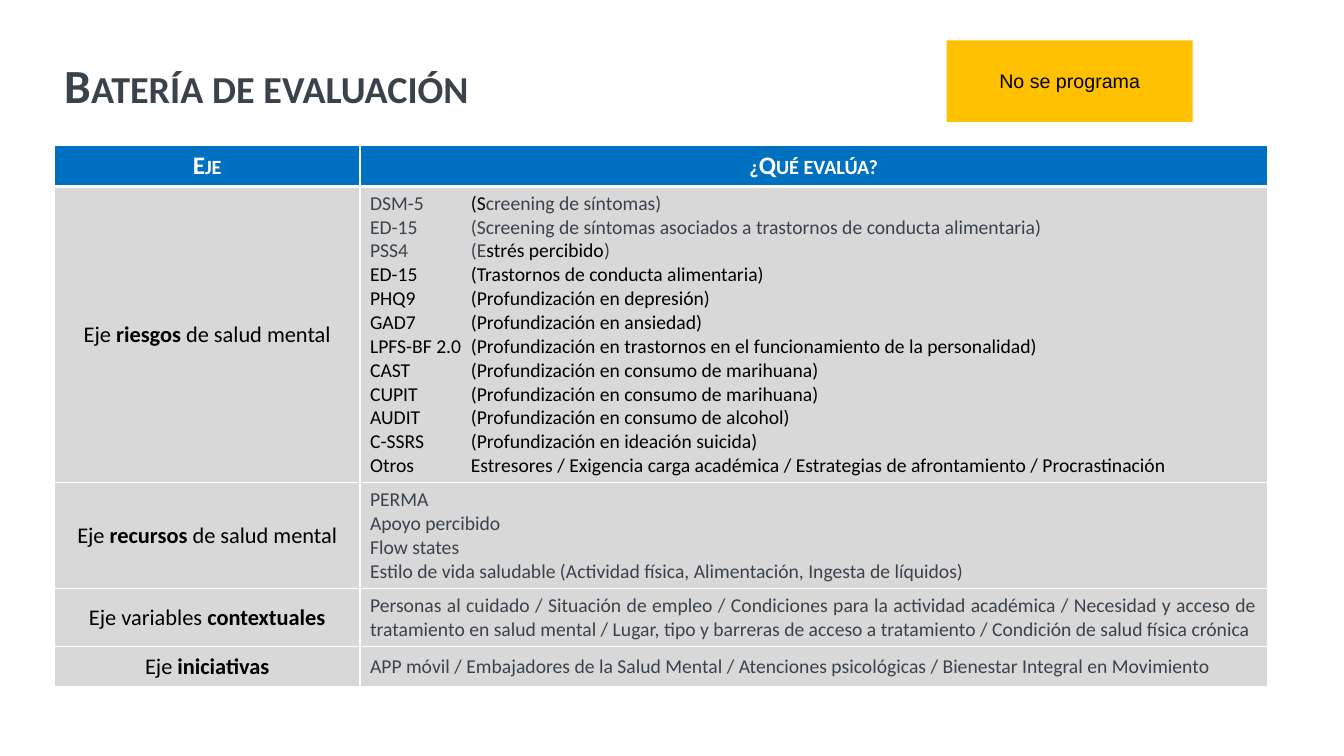
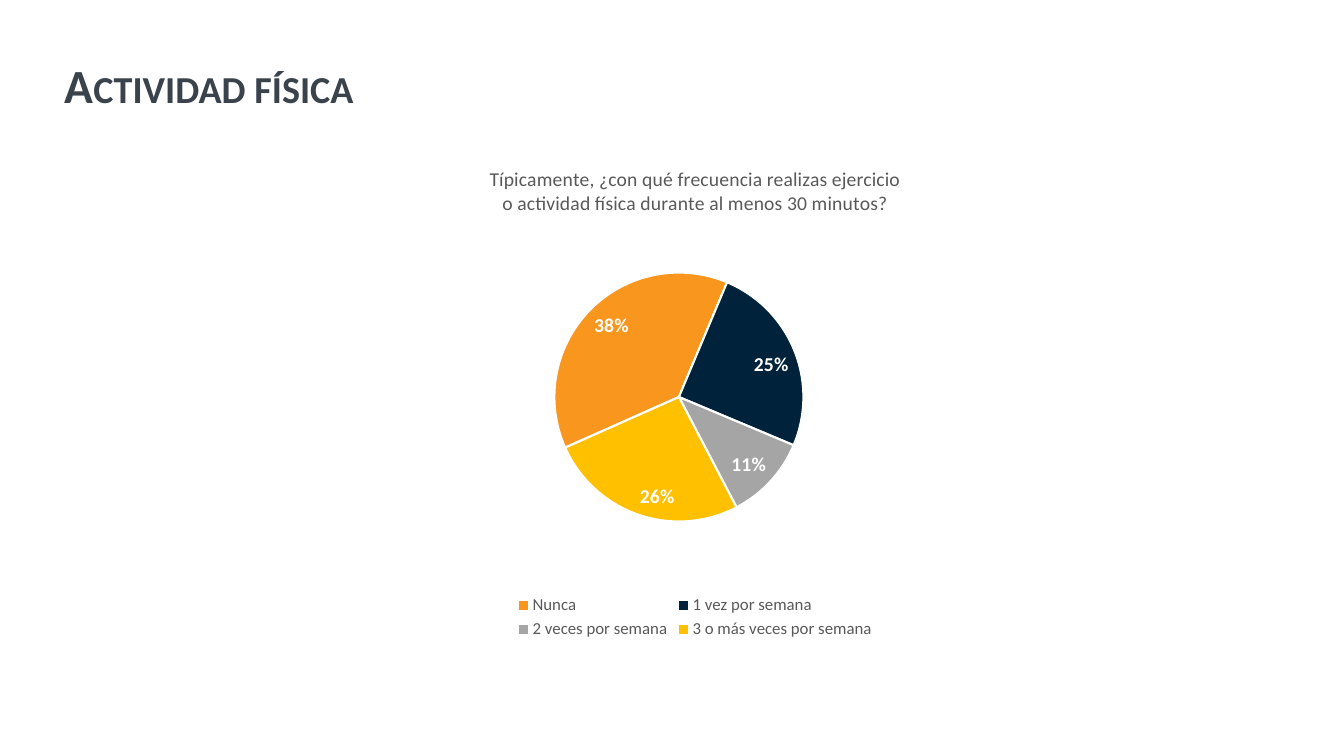
import pptx
import pptx.chart.data
import pptx.dml.color
import pptx.enum.chart
import pptx.enum.shapes
import pptx.enum.text
import pptx.oxml
import pptx.oxml.ns
import pptx.util

Inches = pptx.util.Inches
Pt = pptx.util.Pt
ALIGN = pptx.enum.text.PP_ALIGN
ANCHOR = pptx.enum.text.MSO_ANCHOR
COLORS = {
    "slate": "3A434C", "black": "000000", "white": "FFFFFF", "header": "0070C0",
    "cell": "D8D8D8", "yellow": "FFC000", "orange": "F8961E", "navy": "00223A",
    "gray": "A5A5A5", "caption": "595959",
}
TITLE_ONLY_LAYOUT = 5
TITLE_BOX = (0.54, 0.4, 12.73, 0.94)
TABLE_BOX = (0.54, 1.44, 12.03, 5.37)
NOTICE_BOX = (9.39, 0.4, 2.44, 0.81)
CHART_BOX = (4.21, 1.45, 5.37, 4.93)

AXIS_WIDTH = 3.03
ROW_HEIGHTS = (0.41, 2.94, 1.05, 0.57, 0.4)
HEADERS = ("Eje", "¿Qué evalúa?")
BLACK_INSTRUMENTS = (
    "ED-15\t(Trastornos de conducta alimentaria)",
    "PHQ9\t(Profundización en depresión)",
    "GAD7\t(Profundización en ansiedad)",
    "LPFS-BF 2.0\t(Profundización en trastornos en el funcionamiento de la personalidad)",
    "CAST\t(Profundización en consumo de marihuana)",
    "CUPIT\t(Profundización en consumo de marihuana)",
    "AUDIT\t(Profundización en consumo de alcohol)",
    "C-SSRS\t(Profundización en ideación suicida)",
    "Otros\tEstresores / Exigencia carga académica / Estrategias de afrontamiento / Procrastinación",
)
RISKS = [
    [("DSM-5\t", "slate"), ("(S", "black"), ("creening de síntomas)", "slate")],
    [("ED-15\t(Screening de síntomas asociados a trastornos de conducta alimentaria)", "slate")],
    [("PSS4\t(E", "slate"), ("strés percibido", "black"), (")", "slate")],
] + [[(line, "black")] for line in BLACK_INSTRUMENTS]
RESOURCES = [[(line, "slate")] for line in (
    "PERMA", "Apoyo percibido", "Flow states",
    "Estilo de vida saludable (Actividad física, Alimentación, Ingesta de líquidos)",
)]
CONTEXT = [[(
    "Personas al cuidado / Situación de empleo / Condiciones para la actividad académica / "
    "Necesidad y acceso de tratamiento en salud mental / Lugar, tipo y barreras de acceso a "
    "tratamiento / Condición de salud física crónica", "slate")]]
INITIATIVES = [[(
    "APP móvil / Embajadores de la Salud Mental / Atenciones psicológicas / "
    "Bienestar Integral en Movimiento", "slate")]]
AXES = (
    (("Eje ", "riesgos", " de salud mental"), RISKS),
    (("Eje ", "recursos", " de salud mental"), RESOURCES),
    (("Eje variables ", "contextuales"), CONTEXT),
    (("Eje ", "iniciativas"), INITIATIVES),
)

QUESTION = ("Típicamente, ¿con qué frecuencia realizas ejercicio o actividad física "
            "durante al menos 30 minutos?")
FREQUENCIES = (
    ("Nunca", 0.38, "orange"),
    ("1 vez por semana", 0.25, "navy"),
    ("2 veces por semana", 0.11, "gray"),
    ("3 o más veces por semana", 0.26, "yellow"),
)
PLOT_LAYOUT = {"x": 0.24, "y": 0.22, "w": 0.46, "h": 0.57}
FIRST_SLICE_ANGLE = 246


def rgb(name):
    """Return a palette colour."""
    return pptx.dml.color.RGBColor.from_string(COLORS[name])


def fill_solid(target, color):
    """Give a shape, cell, point or line a solid fill."""
    target.fill.solid()
    target.fill.fore_color.rgb = rgb(color)


def style_font(font, size, color, bold=False, name="Calibri"):
    """Set the size, colour, weight and family of a font."""
    font.size, font.bold, font.name = Pt(size), bold, name
    font.color.rgb = rgb(color)


def add_run(paragraph, text, size, color, bold=False, small_caps=False):
    """Append one formatted run."""
    run = paragraph.add_run()
    run.text = text
    style_font(run.font, size, color, bold)
    if small_caps:
        run.font._element.set("cap", "small")


def add_titled_slide(presentation, title):
    """Add a slide with the shared title style."""
    slide = presentation.slides.add_slide(presentation.slide_layouts[TITLE_ONLY_LAYOUT])
    shape = slide.shapes.title
    shape.left, shape.top, shape.width, shape.height = map(Inches, TITLE_BOX)
    frame = shape.text_frame
    frame.auto_size = pptx.enum.text.MSO_AUTO_SIZE.NONE
    frame.vertical_anchor = ANCHOR.MIDDLE
    paragraph = frame.paragraphs[0]
    paragraph.alignment = ALIGN.LEFT
    paragraph.line_spacing = 0.9
    add_run(paragraph, title, 34, "slate", True, True)
    return slide


def style_cell(cell, color, bottom_width):
    """Fill a cell and draw its white borders."""
    properties = cell._tc.get_or_add_tcPr()
    for side, width in (("L", 1), ("R", 1), ("T", 1), ("B", bottom_width)):
        properties.append(pptx.oxml.parse_xml(
            f'<a:ln{side} {pptx.oxml.ns.nsdecls("a")} w="{Pt(width)}"><a:solidFill>'
            f'<a:srgbClr val="{COLORS["white"]}"/></a:solidFill></a:ln{side}>'))
    fill_solid(cell, color)


def write_details(frame, lines):
    """Write justified lines whose descriptions start at a tab stop."""
    for index, runs in enumerate(lines):
        paragraph = frame.paragraphs[0] if index == 0 else frame.add_paragraph()
        paragraph.alignment = ALIGN.JUSTIFY
        paragraph._p.get_or_add_pPr().append(pptx.oxml.parse_xml(
            f'<a:tabLst {pptx.oxml.ns.nsdecls("a")}><a:tab pos="{Inches(1)}" algn="l"/></a:tabLst>'))
        for text, color in runs:
            add_run(paragraph, text, 14, color)


def add_evaluation_table(slide, box):
    """Add the table of axes and what each one evaluates."""
    left, top, width, height = box
    table = slide.shapes.add_table(len(AXES) + 1, 2, *map(Inches, box)).table
    table.horz_banding = False
    table.columns[0].width = Inches(AXIS_WIDTH)
    table.columns[1].width = Inches(width - AXIS_WIDTH)
    for row, row_height in zip(table.rows, ROW_HEIGHTS):
        row.height = Inches(height * row_height / sum(ROW_HEIGHTS))
    for column, header in enumerate(HEADERS):
        cell = table.cell(0, column)
        style_cell(cell, "header", 3)
        paragraph = cell.text_frame.paragraphs[0]
        paragraph.alignment = ALIGN.CENTER
        add_run(paragraph, header, 18, "white", True, True)
    for row, (label, details) in enumerate(AXES, 1):
        axis_cell, detail_cell = table.cell(row, 0), table.cell(row, 1)
        for cell in (axis_cell, detail_cell):
            style_cell(cell, "cell", 1)
            cell.vertical_anchor = ANCHOR.MIDDLE
        paragraph = axis_cell.text_frame.paragraphs[0]
        paragraph.alignment = ALIGN.CENTER
        for index, text in enumerate(label):
            add_run(paragraph, text, 16, "black", index == 1)
        write_details(detail_cell.text_frame, details)


def add_notice(slide, box, text):
    """Add a yellow notice box."""
    shape = slide.shapes.add_shape(pptx.enum.shapes.MSO_SHAPE.RECTANGLE, *map(Inches, box))
    shape.shadow.inherit = False
    fill_solid(shape, "yellow")
    shape.line.fill.background()
    shape.text_frame.text = text
    shape.text_frame.vertical_anchor = ANCHOR.MIDDLE
    paragraph = shape.text_frame.paragraphs[0]
    paragraph.alignment = ALIGN.CENTER
    style_font(paragraph.runs[0].font, 14, "black", name="Arial")


def set_plot_layout(chart):
    """Fix the inner plot area and the angle of the first slice."""
    plot_area = chart._chartSpace.chart.plotArea
    for layout in plot_area.findall(pptx.oxml.ns.qn("c:layout")):
        plot_area.remove(layout)
    modes = "".join(f'<c:{axis}Mode val="edge"/>' for axis in "xy")
    sizes = "".join(f'<c:{key} val="{value}"/>' for key, value in PLOT_LAYOUT.items())
    plot_area.insert(0, pptx.oxml.parse_xml(
        f'<c:layout {pptx.oxml.ns.nsdecls("c")}><c:manualLayout>'
        f'<c:layoutTarget val="inner"/>{modes}{sizes}</c:manualLayout></c:layout>'))
    pie = chart.plots[0]._element
    for angle in pie.findall(pptx.oxml.ns.qn("c:firstSliceAng")):
        pie.remove(angle)
    pie.append(pptx.oxml.parse_xml(
        f'<c:firstSliceAng {pptx.oxml.ns.nsdecls("c")} val="{FIRST_SLICE_ANGLE}"/>'))


def add_frequency_chart(slide, box):
    """Add the pie chart of exercise frequency."""
    data = pptx.chart.data.CategoryChartData(number_format="0%")
    data.categories = [name for name, value, color in FREQUENCIES]
    data.add_series("Frecuencia", [value for name, value, color in FREQUENCIES])
    chart = slide.shapes.add_chart(
        pptx.enum.chart.XL_CHART_TYPE.PIE, *map(Inches, box), data).chart
    style_font(chart.font, 10, "black", name="Arial")
    chart.has_title = True
    chart.chart_title.text_frame.text = QUESTION
    chart.chart_title.include_in_layout = False
    style_font(chart.chart_title.text_frame.paragraphs[0].runs[0].font, 14, "caption")
    chart.has_legend = True
    chart.legend.position = pptx.enum.chart.XL_LEGEND_POSITION.BOTTOM
    chart.legend.include_in_layout = False
    style_font(chart.legend.font, 12, "caption")
    plot = chart.plots[0]
    plot.vary_by_categories = True
    for index, (name, value, color) in enumerate(FREQUENCIES):
        point_format = plot.series[0].points[index].format
        fill_solid(point_format, color)
        fill_solid(point_format.line, "white")
        point_format.line.width = Pt(1.5)
    plot.has_data_labels = True
    labels = plot.data_labels
    labels.show_value = True
    labels.show_percentage = False
    labels.number_format = "0%"
    labels.number_format_is_linked = False
    labels.position = pptx.enum.chart.XL_LABEL_POSITION.INSIDE_END
    style_font(labels.font, 14, "white", True)
    set_plot_layout(chart)


def main():
    """Build and save the presentation."""
    presentation = pptx.Presentation()
    presentation.slide_width, presentation.slide_height = Inches(13.33), Inches(7.5)
    evaluation = add_titled_slide(presentation, "Batería de evaluación")
    add_evaluation_table(evaluation, TABLE_BOX)
    add_notice(evaluation, NOTICE_BOX, "No se programa")
    activity = add_titled_slide(presentation, "Actividad física")
    add_frequency_chart(activity, CHART_BOX)
    presentation.save("out.pptx")


if __name__ == "__main__":
    main()
